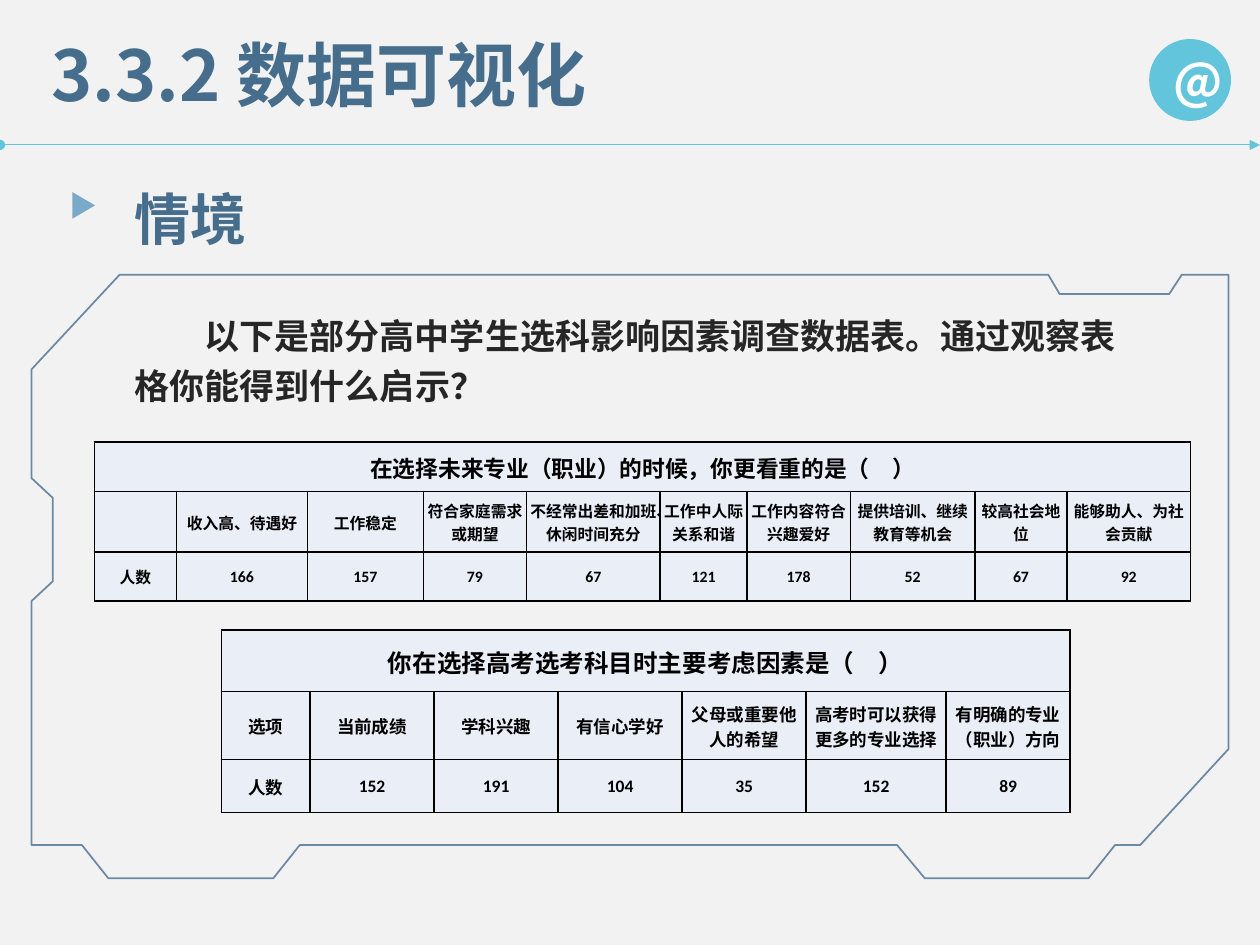
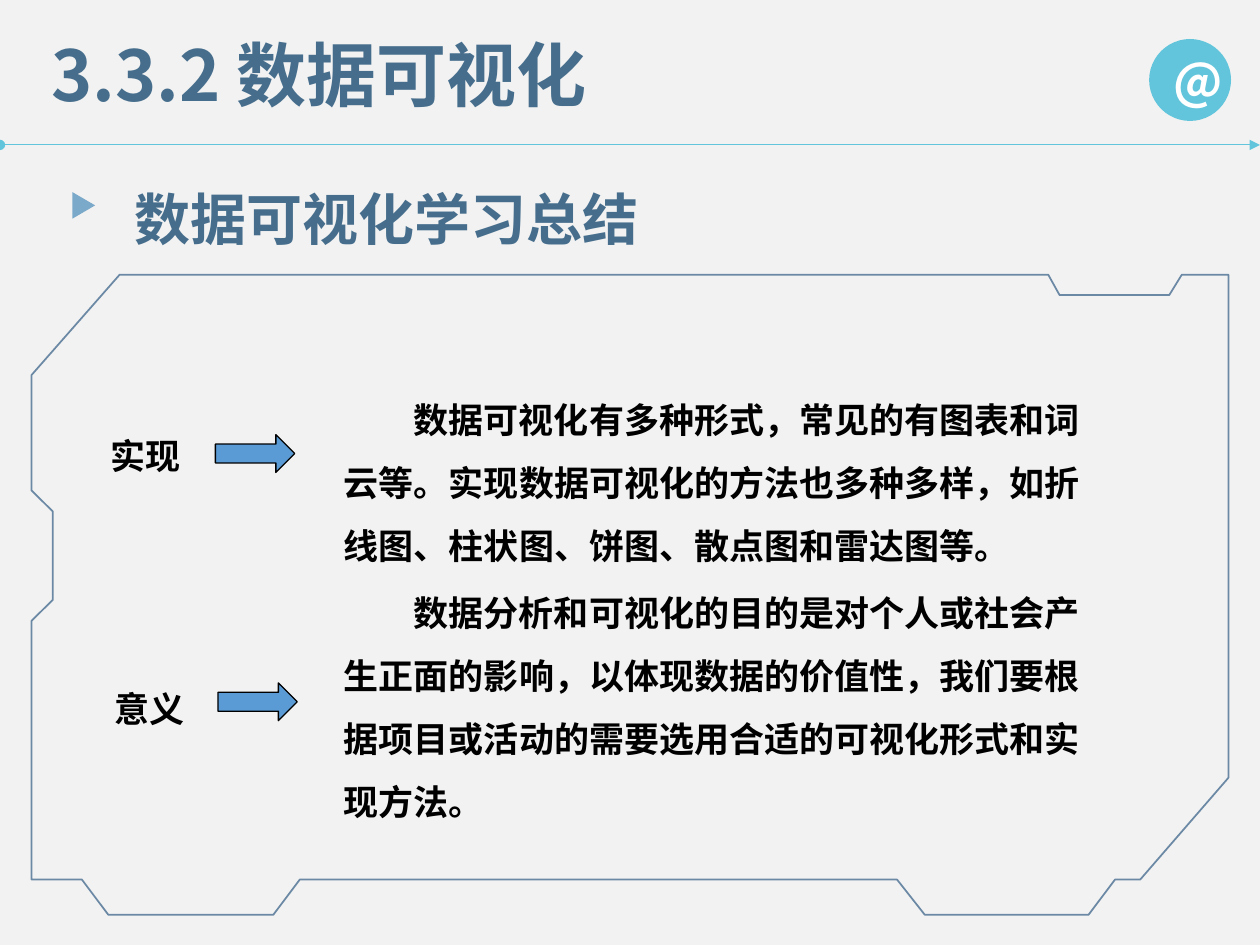
from lxml.etree import SubElement
from pptx import Presentation
from pptx.dml.color import RGBColor
from pptx.enum.shapes import MSO_CONNECTOR, MSO_SHAPE
from pptx.enum.text import MSO_ANCHOR, MSO_AUTO_SIZE, PP_ALIGN
from pptx.oxml.ns import qn
from pptx.util import Inches, Pt

PAPER, CYAN, STEEL, SKY = "F2F2F2", "62C5DC", "466E8C", "7BA9CA"
NAVY, BLUE, PALE = "1F4E79", "5B9BD5", "EAEFF7"
BLACK, GREY, WHITE = "000000", "262626", "FFFFFF"
SANS, LATIN = "Noto Sans CJK SC", "Calibri"
COLS, ROWS = 100, 75

EDGE = [
    (73.4, 100), (86.4, 100), (88.5, 94.5), (90.5, 94.5), (97.5, 78.6),
    (97.5, 0), (93.8, 0), (92.8, 3.2), (84.1, 3.2), (83.2, 0),
    (9.5, 0), (2.5, 15.7), (2.5, 33.7), (4.2, 37), (4.2, 50.8),
    (2.5, 54.1), (2.5, 94.5), (6.5, 94.5), (8.6, 100), (21.7, 100),
    (23.8, 94.5), (71.2, 94.5),
]

MAJOR = [
    ("", "人数"), ("收入高、待遇好", "166"), ("工作稳定", "157"),
    ("符合家庭需求或期望", "79"), ("不经常出差和加班、休闲时间充分", "67"),
    ("工作中人际关系和谐", "121"), ("工作内容符合兴趣爱好", "178"),
    ("提供培训、继续教育等机会", "52"), ("较高社会地位", "67"),
    ("能够助人、为社会贡献", "92"),
]
EXAM = [
    ("选项", "人数"), ("当前成绩", "152"), ("学科兴趣", "191"),
    ("有信心学好", "104"), ("父母或重要他人的希望", "35"),
    ("高考时可以获得更多的专业选择", "152"), ("有明确的专业（职业）方向", "89"),
]
TOPICS = [
    ("实现", (7.8, 32.3), (17.1, 34.5), (29.5, 16.1),
     "数据可视化有多种形式，常见的有图表和词云等。实现数据可视化的方法也多种多样，"
     "如折线图、柱状图、饼图、散点图和雷达图等。"),
    ("意义", (8.1, 52.4), (17.3, 54.2), (44.8, 21.2),
     "数据分析和可视化的目的是对个人或社会产生正面的影响，以体现数据的价值性，"
     "我们要根据项目或活动的需要选用合适的可视化形式和实现方法。"),
]


def tint(code):
    return RGBColor.from_string(code)


def span(count):
    return Inches(count / 10)


class Deck:
    def __init__(self):
        self.show = Presentation()
        self.show.slide_width = span(COLS)
        self.show.slide_height = span(ROWS)
        self.slide = None

    def page(self, head):
        self.slide = self.show.slides.add_slide(self.show.slide_layouts[6])
        back = self.slide.background.fill
        back.solid()
        back.fore_color.rgb = tint(PAPER)
        self.rule(11.5)
        badge = self.shape(MSO_SHAPE.OVAL, (91.2, 3.1, 6.5, 6.5), CYAN)
        badge.text_frame.text = "@"
        badge.text_frame.vertical_anchor = MSO_ANCHOR.MIDDLE
        self.style(badge.text_frame.paragraphs[0], 28, WHITE, align=PP_ALIGN.CENTER)
        self.text((3.1, 2, 73.6, 7.7), "3.3.2 数据可视化", 40, STEEL)
        self.text((9.7, 11.5, 62.2, 8.6), head, 32, STEEL, 1.5)
        self.shape(MSO_SHAPE.ISOSCELES_TRIANGLE, (5.6, 15.4, 2.1, 1.8), SKY).rotation = 90

    def style(self, para, size, color, font=SANS, align=None):
        para.alignment = align
        for run in para.runs:
            run.font.size = Pt(size)
            run.font.bold = True
            run.font.name = font
            run.font.color.rgb = tint(color)
            SubElement(run.font._element, qn("a:ea"), typeface=SANS)

    def text(self, box, words, size, color, lead=None, dent=0, after=None):
        frame = self.slide.shapes.add_textbox(*map(span, box)).text_frame
        frame.word_wrap = True
        frame.auto_size = MSO_AUTO_SIZE.SHAPE_TO_FIT_TEXT
        frame.text = words
        para = frame.paragraphs[0]
        para.line_spacing = lead
        para.space_after = after
        if dent:
            para._p.get_or_add_pPr().set("indent", str(Pt(dent * size)))
        self.style(para, size, color)

    def shape(self, kind, box, fill, line=None):
        item = self.slide.shapes.add_shape(kind, *map(span, box))
        item.shadow.inherit = False
        item.fill.solid()
        item.fill.fore_color.rgb = tint(fill)
        if line:
            item.line.color.rgb = tint(line)
            item.line.width = Pt(0.75)
        else:
            item.line.fill.background()
        return item

    def rule(self, top):
        item = self.slide.shapes.add_connector(
            MSO_CONNECTOR.STRAIGHT, 0, span(top), span(COLS), span(top))
        item.line.color.rgb = tint(CYAN)
        item.line.width = Pt(0.5)
        line = item.line._get_or_add_ln()
        SubElement(line, qn("a:headEnd"), type="oval")
        SubElement(line, qn("a:tailEnd"), type="triangle")
        SubElement(item._element.spPr, qn("a:effectLst"))

    def frame(self, top, high):
        spots = [(span(x), span(top + high * y / 100)) for x, y in EDGE]
        pen = self.slide.shapes.build_freeform(*spots[0])
        pen.add_line_segments(spots[1:], close=True)
        item = pen.convert_to_shape()
        item.shadow.inherit = False
        item.fill.background()
        item.line.color.rgb = tint(NAVY)
        item.line.width = Pt(1)
        shade = item.line._get_or_add_ln().find(".//" + qn("a:srgbClr"))
        SubElement(shade, qn("a:alpha"), val="64000")

    def cell(self, cell, words, size):
        props = cell._tc.get_or_add_tcPr()
        for side in ("lnL", "lnR", "lnT", "lnB"):
            line = SubElement(props, qn("a:" + side), w=str(Pt(1)))
            fill = SubElement(line, qn("a:solidFill"))
            SubElement(fill, qn("a:srgbClr"), val=BLACK)
        cell.fill.solid()
        cell.fill.fore_color.rgb = tint(PALE)
        cell.vertical_anchor = MSO_ANCHOR.MIDDLE
        cell.margin_left = cell.margin_right = cell.margin_top = span(0.1)
        cell.margin_bottom = 0
        cell.text_frame.text = words
        self.style(cell.text_frame.paragraphs[0], size, BLACK, LATIN, PP_ALIGN.CENTER)

    def table(self, spot, wides, highs, title, pairs, sizes):
        box = (*spot, sum(wides), sum(highs))
        grid = self.slide.shapes.add_table(
            len(highs), len(wides), *map(span, box)).table
        for col, wide in zip(grid.columns, wides):
            col.width = span(wide)
        for row, high in zip(grid.rows, highs):
            row.height = span(high)
        heads = [title] + [""] * (len(wides) - 1)
        for r, words in enumerate([heads, *zip(*pairs)]):
            for c, word in enumerate(words):
                self.cell(grid.cell(r, c), word, sizes[min(r, 1)])
        grid.cell(0, 0).merge(grid.cell(0, len(wides) - 1))


def main():
    deck = Deck()
    deck.page("情境")
    deck.text((9.7, 23.8, 80.4, 9.1),
              "以下是部分高中学生选科影响因素调查数据表。通过观察表格你能得到什么启示？",
              20, GREY, 1.2, 2, Pt(10))
    deck.frame(21.8, 47.9)
    deck.table((7.5, 35.1), [6.5, 10.4, 9.2, 8.2, 10.6, 6.9, 8.2, 9.9, 7.3, 9.8],
               [3.9, 4.8, 3.9], "在选择未来专业（职业）的时候，你更看重的是（　）",
               MAJOR, (13, 9))
    deck.table((17.6, 50), [7] + [9.85] * 4 + [11.1, 9.85],
               [4.9, 5.4, 4.2], "你在选择高考选考科目时主要考虑因素是（　）",
               EXAM, (14, 10))

    deck.page("数据可视化学习总结")
    deck.frame(21.8, 50.8)
    for name, spot, tip, (top, high), words in TOPICS:
        deck.text((26.3, top, 63.1, high), words, 20, BLACK, 1.5, 2)
        deck.text((*spot, 10.9, 5.4), name, 20, BLACK, 1.5)
        deck.shape(MSO_SHAPE.RIGHT_ARROW, (*tip, 6.3, 3), BLUE, BLACK)
    deck.show.save("out.pptx")


if __name__ == "__main__":
    main()
